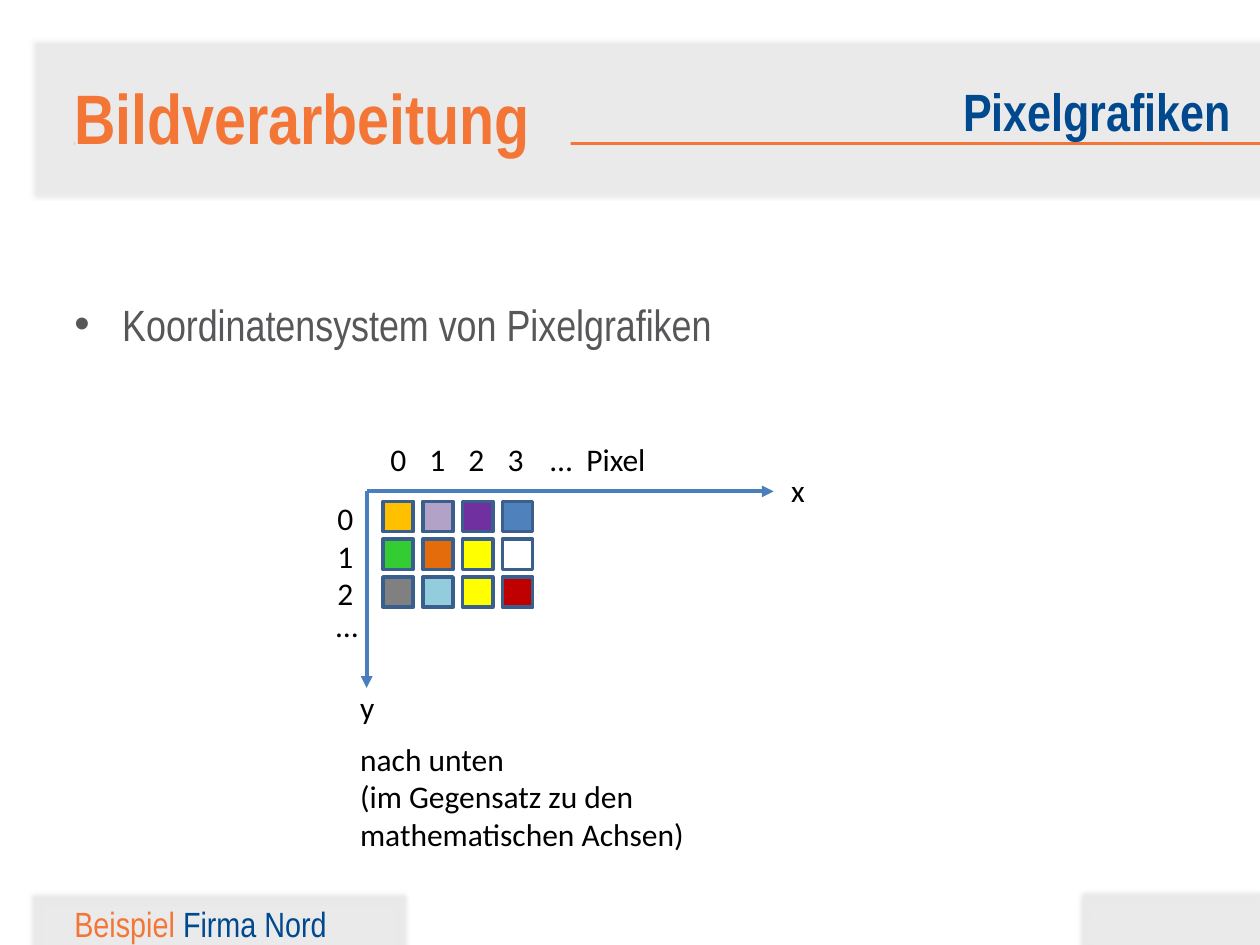
"""Build a slide on the coordinate system of pixel graphics."""
from lxml import etree
from pptx import Presentation
from pptx.dml.color import RGBColor
from pptx.enum.shapes import MSO_CONNECTOR, MSO_SHAPE
from pptx.enum.text import MSO_ANCHOR, MSO_AUTO_SIZE, PP_ALIGN
from pptx.oxml import parse_xml
from pptx.oxml.ns import qn
from pptx.util import Inches, Pt

ORANGE = RGBColor(0xF3, 0x76, 0x37)
NAVY = RGBColor(0x00, 0x49, 0x8F)
PANEL = RGBColor(0xEA, 0xEA, 0xEB)
GREY = RGBColor(0x57, 0x57, 0x5A)
BLACK = RGBColor(0x00, 0x00, 0x00)
AXIS = RGBColor(0x4B, 0x7E, 0xBC)
EDGE = RGBColor(0x3A, 0x5F, 0x8C)
GOLD = RGBColor(0xFF, 0xC0, 0x00)
LILAC = RGBColor(0xB3, 0xA2, 0xC7)
PURPLE = RGBColor(0x70, 0x30, 0xA0)
BLUE = RGBColor(0x4F, 0x81, 0xBD)
GREEN = RGBColor(0x33, 0xCC, 0x33)
RUST = RGBColor(0xE4, 0x6C, 0x0A)
YELLOW = RGBColor(0xFF, 0xFF, 0x00)
WHITE = RGBColor(0xFF, 0xFF, 0xFF)
STONE = RGBColor(0x80, 0x80, 0x80)
AQUA = RGBColor(0x93, 0xCD, 0xDD)
RED = RGBColor(0xC0, 0x00, 0x00)

GLOW = (
    '<a:effectLst xmlns:a="http://schemas.openxmlformats.org/drawingml/2006/main">'
    '<a:glow rad="63500"><a:srgbClr val="EAEAEB"/></a:glow></a:effectLst>'
)

prs = Presentation()
prs.slide_width = Inches(10)
prs.slide_height = Inches(7.5)
slide = prs.slides.add_slide(prs.slide_layouts[6])
shapes = slide.shapes


def add_text(text, left, top, width, height, size=18, color=BLACK, face="Calibri"):
    box = shapes.add_textbox(Inches(left), Inches(top), Inches(width), Inches(height))
    frame = box.text_frame
    frame.text = text
    if face == "Calibri":
        frame.word_wrap = False
        frame.auto_size = MSO_AUTO_SIZE.SHAPE_TO_FIT_TEXT
    else:
        frame.word_wrap = True
        frame.margin_left = frame.margin_right = 0
        frame.margin_top = frame.margin_bottom = 0
    for para in frame.paragraphs:
        for run in para.runs:
            run.font.name = face
            run.font.size = Pt(size)
            run.font.color.rgb = color
    return box


def add_line(start, end, color, width, arrow=False):
    ends = [Inches(value) for value in start + end]
    line = shapes.add_connector(MSO_CONNECTOR.STRAIGHT, *ends)
    line.line.color.rgb = color
    line.line.width = Pt(width)
    if arrow:
        tail = etree.SubElement(line.line._get_or_add_ln(), qn("a:tailEnd"))
        tail.set("type", "triangle")
    etree.SubElement(line._element.spPr, qn("a:effectLst"))


panels = [(0.35, 0.41, 9.8, 1.04), (8.68, 7.19, 1.42, 0.44), (0.35, 7.19, 2.78, 0.44)]
for place in panels:
    panel = shapes.add_shape(MSO_SHAPE.RECTANGLE, *[Inches(value) for value in place])
    panel.fill.solid()
    panel.fill.fore_color.rgb = PANEL
    panel.line.fill.background()
    panel._element.spPr.append(parse_xml(GLOW))

add_line((10, 1.14), (0.59, 1.14), ORANGE, 2)

footer = add_text("Beispiel ", 0.59, 7.16, 3.78, 0.34, 20, ORANGE, "Arial Narrow")
run = footer.text_frame.paragraphs[0].add_run()
run.text = "Firma Nord"
run.font.name = "Arial Narrow"
run.font.size = Pt(20)
run.font.color.rgb = NAVY

title = add_text("Bildverarbeitung", 0.59, 0.59, 3.94, 0.67, 40, ORANGE, "Arial Narrow")
title.fill.solid()
title.fill.fore_color.rgb = PANEL
title.text_frame.vertical_anchor = MSO_ANCHOR.BOTTOM
topic = add_text("Pixelgrafiken", 3.5, 0.63, 6.27, 0.5, 30, NAVY, "Arial Narrow")
topic.text_frame.paragraphs[0].alignment = PP_ALIGN.RIGHT
for head in (title, topic):
    head.text_frame.paragraphs[0].runs[0].font.bold = True

body = add_text("Koordinatensystem von Pixelgrafiken", 0.59, 2.36, 9.21, 5.09,
                25, GREY, "Arial Narrow")
props = body.text_frame.paragraphs[0]._p.get_or_add_pPr()
props.set("marL", str(Inches(0.38)))
props.set("indent", str(Inches(-0.38)))
etree.SubElement(props, qn("a:buFont")).set("typeface", "Arial")
etree.SubElement(props, qn("a:buChar")).set("char", "•")

origin = (2.91, 3.9)
add_line(origin, (6.14, 3.9), AXIS, 2.25, True)
add_line(origin, (2.91, 5.46), AXIS, 2.25, True)
add_text("x", 6.18, 3.69, 0.31, 0.4)
add_text("y", 2.76, 5.41, 0.32, 0.4)

pixels = [
    (GOLD, LILAC, PURPLE, BLUE),
    (GREEN, RUST, YELLOW, WHITE),
    (STONE, AQUA, YELLOW, RED),
]
for row, colors in enumerate(pixels):
    for col, color in enumerate(colors):
        pixel = shapes.add_shape(
            MSO_SHAPE.RECTANGLE,
            Inches(3.04 + 0.316 * col), Inches(3.98 + 0.3 * row),
            Inches(0.24), Inches(0.24))
        pixel.shadow.inherit = False
        pixel.fill.solid()
        pixel.fill.fore_color.rgb = color
        pixel.line.color.rgb = EDGE
        pixel.line.width = Pt(2)

add_text("nach unten\n(im Gegensatz zu den \vmathematischen Achsen)",
         2.76, 5.82, 2.8, 1.01)

for col in range(4):
    add_text(str(col), 3 + 0.31 * col, 3.44, 0.33, 0.4)
for row in range(3):
    add_text(str(row), 2.58, 3.91 + 0.3 * row, 0.33, 0.4)
add_text("…  Pixel", 4.27, 3.44, 0.96, 0.4)
add_text("…", 2.57, 4.76, 0.38, 0.4)

prs.save("out.pptx")
